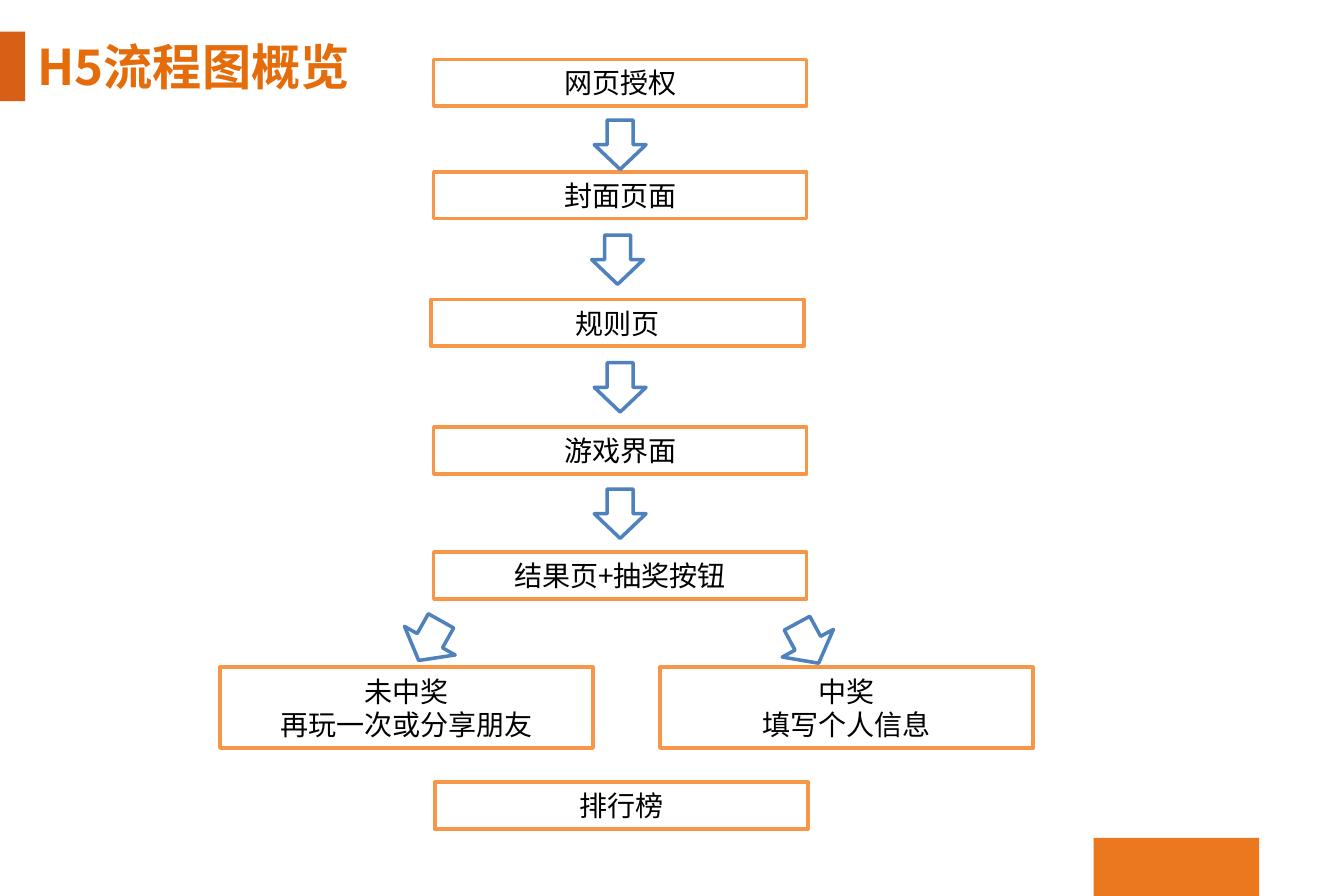
from lxml import etree
from pptx import Presentation
from pptx.dml.color import RGBColor
from pptx.enum import shapes, text
from pptx.oxml import ns
from pptx.util import Inches, Pt

FONT = "Noto Sans CJK SC"
RECT, DOWN = shapes.MSO_SHAPE.RECTANGLE, shapes.MSO_SHAPE.DOWN_ARROW
ORANGE, BLUE, WHITE = "F79646", "4F81BD", "FFFFFF"

prs = Presentation()
prs.slide_width, prs.slide_height = Inches(10.63), Inches(7.09)
slide = prs.slides.add_slide(prs.slide_layouts[6])


def add_block(kind, box, fill, line=None):
    block = slide.shapes.add_shape(kind, *map(Inches, box))
    block.shadow.inherit = False
    block.fill.solid()
    block.fill.fore_color.rgb = RGBColor.from_string(fill)
    if line:
        block.line.color.rgb = RGBColor.from_string(line)
        block.line.width = Pt(2)
    else:
        block.line.fill.background()
    return block


def write(frame, lines, size, color, align, bold=False):
    """Fill a text frame, with the font set for Latin and Chinese characters."""
    frame.word_wrap = True
    frame.auto_size = text.MSO_AUTO_SIZE.SHAPE_TO_FIT_TEXT
    frame.text = "\n".join(lines)
    for paragraph in frame.paragraphs:
        paragraph.alignment = align
        font = paragraph.font
        font.name, font.size, font.bold = FONT, Pt(size), bold
        font.color.rgb = RGBColor.from_string(color)
        defaults = paragraph._p.pPr.find(ns.qn("a:defRPr"))
        etree.SubElement(defaults, ns.qn("a:ea"), typeface=FONT)


# Heading and page accents
add_block(RECT, (8.65, 6.63, 1.31, 0.46), "EB781F")
add_block(RECT, (0, 0.25, 0.2, 0.55), "D86016")
heading = slide.shapes.add_textbox(Inches(0.2), Inches(0.24), Inches(3.7), Inches(0.57))
write(heading.text_frame, ["H5流程图概览"], 28, "E46C0A", text.PP_ALIGN.LEFT, bold=True)

# Flow steps: left, top, lines
steps = [
    (3.43, 0.47, ["网页授权"]),
    (3.43, 1.36, ["封面页面"]),
    (3.41, 2.37, ["规则页"]),
    (3.43, 3.38, ["游戏界面"]),
    (3.43, 4.37, ["结果页+抽奖按钮"]),
    (1.74, 5.28, ["未中奖", "再玩一次或分享朋友"]),
    (5.22, 5.28, ["中奖", "填写个人信息"]),
    (3.44, 6.19, ["排行榜"]),
]
for left, top, lines in steps:
    height = 0.1 + 0.27 * len(lines)
    step = add_block(RECT, (left, top, 2.95, height), WHITE, ORANGE)
    step.text_frame.vertical_anchor = text.MSO_ANCHOR.MIDDLE
    write(step.text_frame, lines, 16, "000000", text.PP_ALIGN.CENTER)

# Arrows between steps: left, top, width, height, rotation
arrows = [
    (4.7, 0.95, 0.41, 0.39, 0),
    (4.68, 1.86, 0.41, 0.39, 0),
    (4.7, 2.87, 0.41, 0.39, 0),
    (4.7, 3.87, 0.41, 0.39, 0),
    (3.17, 4.89, 0.46, 0.36, 29.4),
    (6.16, 4.91, 0.46, 0.36, 331.6),
]
for *box, rotation in arrows:
    add_block(DOWN, box, WHITE, BLUE).rotation = rotation

prs.save("out.pptx")
